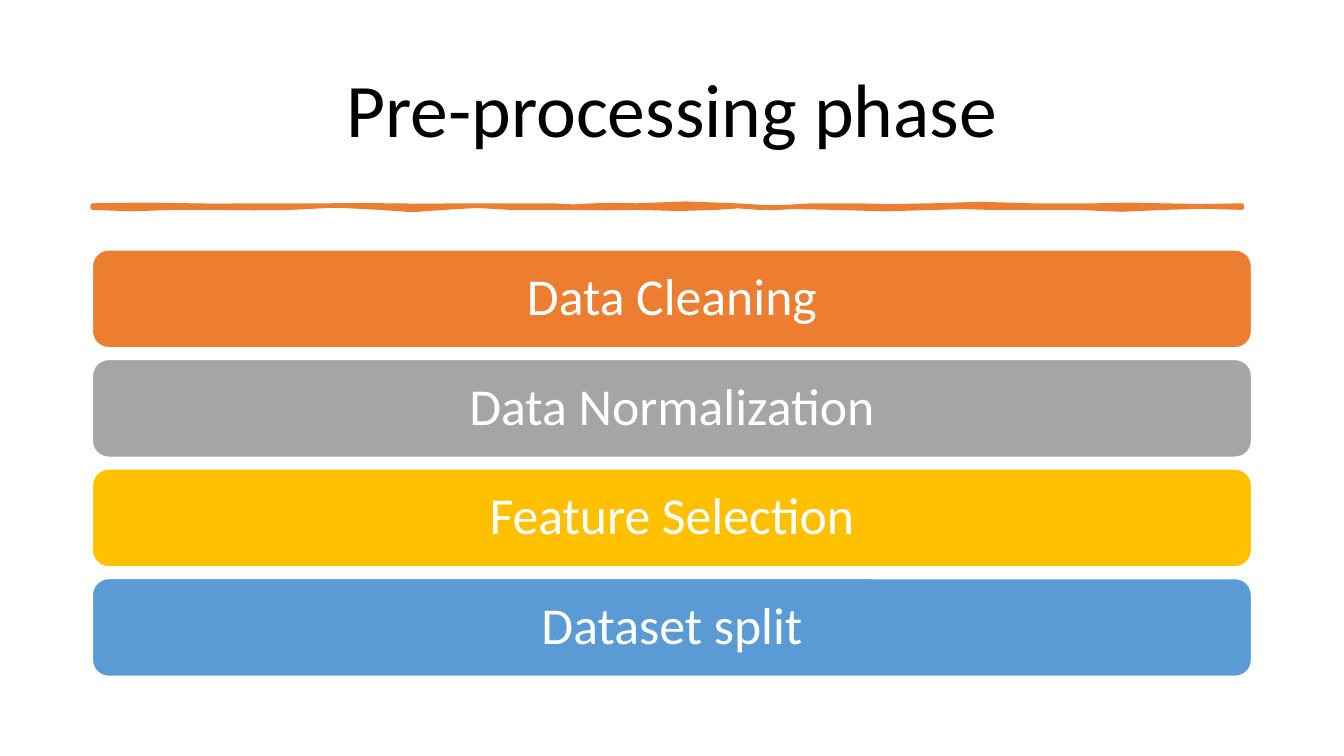
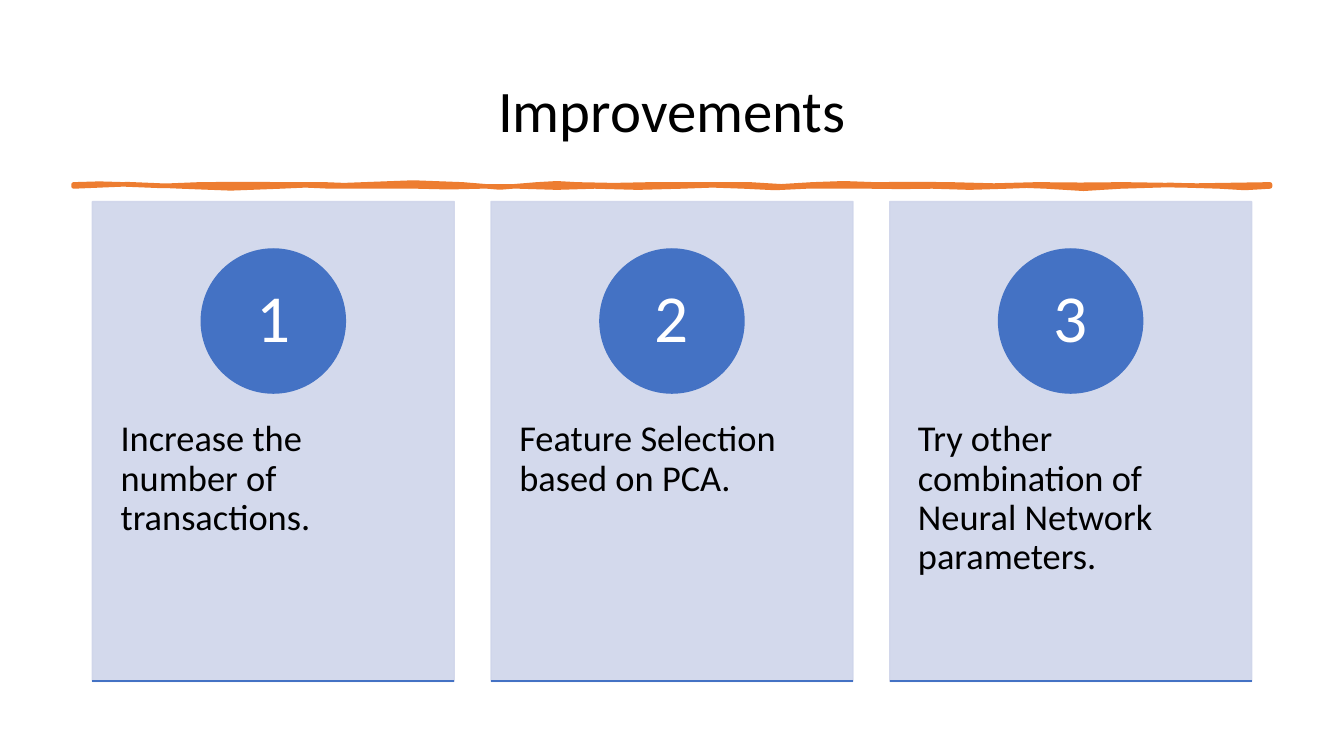
from pptx import Presentation
from pptx.dml.color import RGBColor
from pptx.enum.shapes import MSO_CONNECTOR, MSO_SHAPE
from pptx.enum.text import MSO_ANCHOR, PP_ALIGN
from pptx.oxml.ns import qn
from pptx.util import Inches, Pt
from lxml.etree import SubElement

BLACK = RGBColor(0x00, 0x00, 0x00)
WHITE = RGBColor(0xFF, 0xFF, 0xFF)
ORANGE = RGBColor(0xED, 0x7D, 0x31)
GRAY = RGBColor(0xA5, 0xA5, 0xA5)
GOLD = RGBColor(0xFF, 0xC0, 0x00)
SKY = RGBColor(0x5B, 0x9B, 0xD5)
BLUE = RGBColor(0x44, 0x72, 0xC4)
PALE = RGBColor(0xCF, 0xD5, 0xEA)
FONT = "Calibri"

SLIDE_WIDTH, SLIDE_HEIGHT = 40 / 3, 7.5
SPAN = 11.5
LEFT = (SLIDE_WIDTH - SPAN) / 2
STROKE_HEIGHT = 0.02
CURVE_STEPS = 2

PHASES = [
    ("Data Cleaning", ORANGE),
    ("Data Normalization", GRAY),
    ("Feature Selection", GOLD),
    ("Dataset split", SKY),
]
BARS_TOP, BARS_BOTTOM, BAR_HEIGHT = 2.48, 6.71, 0.97

IMPROVEMENTS = [
    "Increase the number of transactions.",
    "Feature Selection based on PCA.",
    "Try other combination of Neural Network parameters.",
]
CARD_TOP, CARD_WIDTH, CARD_HEIGHT = 2, 3.59, 4.76
BADGE_TOP, BADGE_SIZE = 2.47, 1.43

PHASE_STROKE = {
    "left": 0.92,
    "top": 2.04,
    "upper": [
        (1.9, 0, -2), (2.44, 2, -1), (3.31, 1, -1), (3.84, 1, -2),
        (4.6, 2, -1), (5.48, 1, -1), (5.89, 1, 2), (6.31, -2, 1),
        (7.3, -1, -4), (8.06, 4, 2), (8.48, -2, 2), (9.24, -2, 4),
        (10.23, -4, 0), (10.87, 0, 0), (11.52, 0, -2), (12.32, 2, 0),
    ],
    "lower": [
        (11.56, 0, -3), (10.68, 3, 2), (9.81, -2, 2), (9.28, -2, 0),
        (8.29, 0, 4), (7.53, -4, 2), (7.11, -2, -2), (6.35, 2, 1),
        (5.7, -1, 2), (5.06, -2, 2), (4.41, -2, -3), (3.77, 3, 3),
        (2.89, -3, -3), (2.13, 3, -2), (1.71, 2, -2), (0.92, 2, 2),
    ],
}
IMPROVEMENT_STROKE = {
    "left": 0.73,
    "top": 1.83,
    "upper": [
        (1.24, -2, 0), (1.98, 1, 3), (2.84, -2, 1), (3.22, 0, 0),
        (3.61, 1, 1), (4.59, -1, -4), (5.33, 5, 3), (5.72, -2, -1),
        (6.46, 2, 0), (7.44, 1, -1), (8.06, 2, 3), (8.68, -2, -1),
        (9.43, 2, -3), (10.29, 4, -1), (11.15, 2, -1), (12.6, 2, 1),
    ],
    "lower": [
        (12.1, 2, 2), (11.12, -1, -3), (10.38, 4, 2), (9.99, -1, -1),
        (9.25, 2, 1), (8.63, 0, 1), (8, 0, 0), (7.38, 1, 3),
        (6.76, -2, -1), (5.9, 2, 1), (5.15, 0, 3), (4.77, -2, 2),
        (4.14, -1, 3), (3.28, -2, 2), (2.78, -2, -1), (1.8, 2, 3),
        (0.73, -3, -3),
    ],
}


def write(shape, text, size, color, align=PP_ALIGN.CENTER,
          anchor=MSO_ANCHOR.MIDDLE, insets=(0.1, 0.05, 0.1, 0.05)):
    frame = shape.text_frame
    frame.word_wrap = True
    frame.vertical_anchor = anchor
    (frame.margin_left, frame.margin_top,
     frame.margin_right, frame.margin_bottom) = map(Inches, insets)
    paragraph = frame.paragraphs[0]
    paragraph.text = text
    paragraph.alignment = align
    paragraph.line_spacing = 0.9
    paragraph.font.name = FONT
    paragraph.font.size = Pt(size)
    paragraph.font.color.rgb = color


def paint(shape, fill, line, width=1):
    shape.shadow.inherit = False
    shape.fill.solid()
    shape.fill.fore_color.rgb = fill
    shape.line.color.rgb = line
    shape.line.width = Pt(width)


def add_block(slide, preset, box, fill, line):
    block = slide.shapes.add_shape(preset, *map(Inches, box))
    paint(block, fill, line)
    return block


def edge_points(start, base, curves):
    points = []
    for end, first, second in curves:
        for step in range(1, CURVE_STEPS + 1):
            t = step / CURVE_STEPS
            bulge = 3 * t * (1 - t) * ((1 - t) * first + t * second) / 100
            points.append((Inches(start + (end - start) * t), Inches(base + bulge)))
        start = end
    return points


def add_stroke(slide, stroke):
    left, top = stroke["left"], stroke["top"]
    right, bottom = stroke["upper"][-1][0], top + STROKE_HEIGHT
    points = edge_points(left, top, stroke["upper"])
    points.append((Inches(right), Inches(bottom)))
    points += edge_points(right, bottom, stroke["lower"])
    builder = slide.shapes.build_freeform(Inches(left), Inches(top))
    builder.add_line_segments(points, close=True)
    outline = builder.convert_to_shape()
    paint(outline, ORANGE, ORANGE, 3.25)
    SubElement(outline.line._get_or_add_ln(), qn("a:round"))


def add_titled_slide(deck, title, size, stroke):
    slide = deck.slides.add_slide(deck.slide_layouts[6])
    heading = slide.shapes.add_textbox(*map(Inches, (LEFT, 0.4, SPAN, 1.45)))
    write(heading, title, size, BLACK)
    add_stroke(slide, stroke)
    return slide


def add_phases(slide):
    pitch = (BARS_BOTTOM - BARS_TOP - BAR_HEIGHT) / (len(PHASES) - 1)
    for index, (phase, color) in enumerate(PHASES):
        box = (LEFT, BARS_TOP + index * pitch, SPAN, BAR_HEIGHT)
        bar = add_block(slide, MSO_SHAPE.ROUNDED_RECTANGLE, box, color, WHITE)
        write(bar, phase, 37, WHITE)


def add_improvements(slide):
    pitch = (SPAN - CARD_WIDTH) / (len(IMPROVEMENTS) - 1)
    bottom = CARD_TOP + CARD_HEIGHT
    for index, improvement in enumerate(IMPROVEMENTS):
        left = LEFT + index * pitch
        card = add_block(slide, MSO_SHAPE.RECTANGLE,
                         (left, CARD_TOP, CARD_WIDTH, CARD_HEIGHT), PALE, PALE)
        for color in card._element.spPr.iter(qn("a:srgbClr")):
            SubElement(color, qn("a:alpha")).set("val", "90000")
        write(card, improvement, 26, BLACK, PP_ALIGN.LEFT, MSO_ANCHOR.TOP,
              (0.28, 2.17, 0.28, 0.46))

        badge_left = left + (CARD_WIDTH - BADGE_SIZE) / 2
        badge = add_block(slide, MSO_SHAPE.OVAL,
                          (badge_left, BADGE_TOP, BADGE_SIZE, BADGE_SIZE), BLUE, BLUE)
        write(badge, str(index + 1), 48, WHITE, insets=(0.11, 0.01, 0.11, 0.01))

        baseline = slide.shapes.add_connector(
            MSO_CONNECTOR.STRAIGHT,
            *map(Inches, (left, bottom, left + CARD_WIDTH, bottom)))
        baseline.line.color.rgb = BLUE
        baseline.line.width = Pt(1.5)
        SubElement(baseline._element.spPr, qn("a:effectLst"))


def main():
    deck = Presentation()
    deck.slide_width, deck.slide_height = Inches(SLIDE_WIDTH), Inches(SLIDE_HEIGHT)
    add_phases(add_titled_slide(deck, "Pre-processing phase", 54, PHASE_STROKE))
    add_improvements(add_titled_slide(deck, "Improvements", 42, IMPROVEMENT_STROKE))
    deck.save("out.pptx")


if __name__ == "__main__":
    main()
